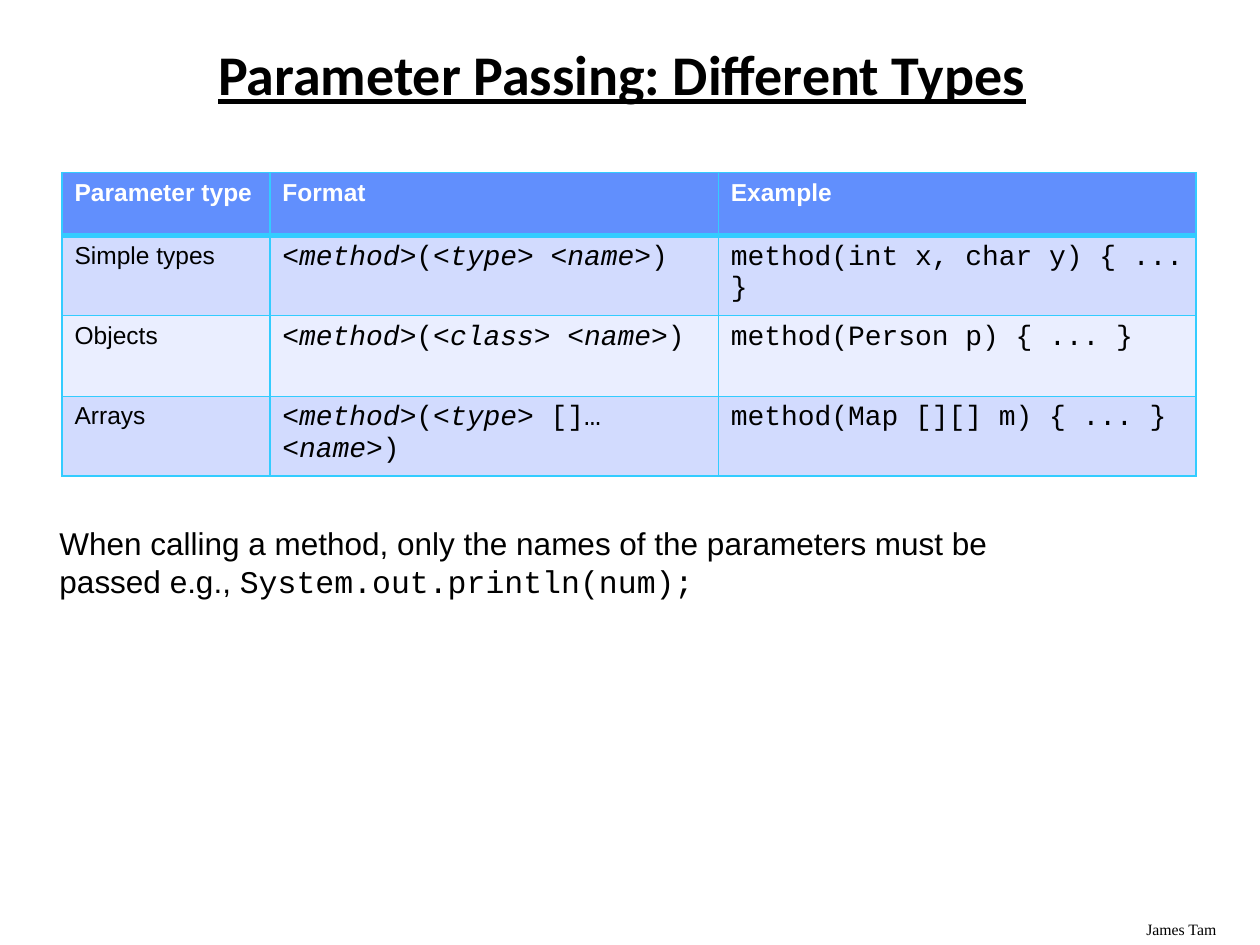
from lxml.etree import SubElement
from pptx import Presentation
from pptx.dml.color import RGBColor
from pptx.enum.text import MSO_ANCHOR as Anchor, MSO_AUTO_SIZE as AutoSize, PP_ALIGN as Align
from pptx.oxml.ns import qn
from pptx.util import Cm, Pt

BLACK = RGBColor(0x00, 0x00, 0x00)
WHITE = RGBColor(0xFF, 0xFF, 0xFF)
HEADER_BLUE = RGBColor(0x61, 0x8F, 0xFD)
BAND_DARK = RGBColor(0xD2, 0xDB, 0xFE)
BAND_LIGHT = RGBColor(0xEA, 0xEE, 0xFF)
BORDER_CYAN = RGBColor(0x33, 0xCC, 0xFF)

SANS = "Arial"
CODE = "Courier New"
COLUMN_WIDTHS = (4.19, 9.04, 9.63)
ROW_HEIGHTS = (1.27, 1.27, 1.63, 1.27)
ROWS = (
    ("Parameter type", "Format", "Example"),
    ("Simple types", "<|method|>(<|type|> <|name|>)", "method(int x, char y) { ... }"),
    ("Objects", "<|method|>(<|class|> <|name|>)", "method(Person p) { ... }"),
    ("Arrays", "<|method|>(<|type|> []… <|name|>)", "method(Map [][] m) { ... }"),
)


class SlideBuilder:
    def __init__(self, presentation):
        self.slide = presentation.slides.add_slide(presentation.slide_layouts[5])

    def style_font(self, font, name, size, color=BLACK, bold=False):
        font.name = name
        font.size = Pt(size)
        font.color.rgb = color
        font.bold = bold

    def add_title(self, text, left, top, width, height):
        title = self.slide.shapes.title
        title.left, title.top, title.width, title.height = map(Cm, (left, top, width, height))
        frame = title.text_frame
        frame.text = text
        frame.auto_size = AutoSize.NONE
        frame.vertical_anchor = Anchor.MIDDLE
        paragraph = frame.paragraphs[0]
        paragraph.alignment = Align.CENTER
        paragraph.line_spacing = 0.9
        font = paragraph.runs[0].font
        self.style_font(font, "Calibri", 32, bold=True)
        font.underline = True

    def add_text(self, parts, size, left, top, width, height, inset=0.25):
        box = self.slide.shapes.add_textbox(*map(Cm, (left, top, width, height)))
        frame = box.text_frame
        frame.word_wrap = True
        frame.margin_left = Cm(inset)
        for text, font_name in parts:
            run = frame.paragraphs[0].add_run()
            run.text = text
            self.style_font(run.font, font_name, size)

    def add_borders(self, cell, top, bottom):
        properties = cell._tc.get_or_add_tcPr()
        for side, width in (("L", 1), ("R", 1), ("T", top), ("B", bottom)):
            line = SubElement(properties, qn(f"a:ln{side}"), w=str(Pt(width)))
            fill = SubElement(line, qn("a:solidFill"))
            SubElement(fill, qn("a:srgbClr"), val=str(BORDER_CYAN))

    def fill_cell(self, cell, text, row, column):
        is_header = row == 0
        self.add_borders(cell, 3 if row == 1 else 1, 3 if is_header else 1)
        cell.fill.solid()
        cell.fill.fore_color.rgb = HEADER_BLUE if is_header else (BAND_LIGHT, BAND_DARK)[row % 2]
        is_code = not is_header and column > 0
        for index, part in enumerate(text.split("|")):
            run = cell.text_frame.paragraphs[0].add_run()
            run.text = part
            self.style_font(run.font, CODE if is_code else SANS, 16 if is_code else 14,
                            WHITE if is_header else BLACK, is_header)
            run.font.italic = index % 2 == 1

    def add_table(self, rows, left, top):
        table = self.slide.shapes.add_table(
            len(rows), len(COLUMN_WIDTHS), Cm(left), Cm(top),
            Cm(sum(COLUMN_WIDTHS)), Cm(sum(ROW_HEIGHTS))).table
        for column, width in zip(table.columns, COLUMN_WIDTHS):
            column.width = Cm(width)
        for row, height in zip(table.rows, ROW_HEIGHTS):
            row.height = Cm(height)
        for row, texts in enumerate(rows):
            for column, text in enumerate(texts):
                self.fill_cell(table.cell(row, column), text, row, column)


def main():
    presentation = Presentation()
    presentation.slide_width = Cm(25.4)
    presentation.slide_height = Cm(19.05)
    builder = SlideBuilder(presentation)
    builder.add_text([("James Tam", "Times New Roman")], 9, 22.86, 18.42, 2.54, 0.63)
    builder.add_title("Parameter Passing: Different Types", 1.2, 0.84, 22.68, 1.45)
    builder.add_table(ROWS, 1.25, 3.48)
    builder.add_text(
        [("When calling a method, only the names of the parameters must be passed e.g., ", SANS),
         ("System.out.println(num);", CODE)],
        18, 1.2, 10.44, 21, 1.4, inset=0)
    presentation.save("out.pptx")


if __name__ == "__main__":
    main()
